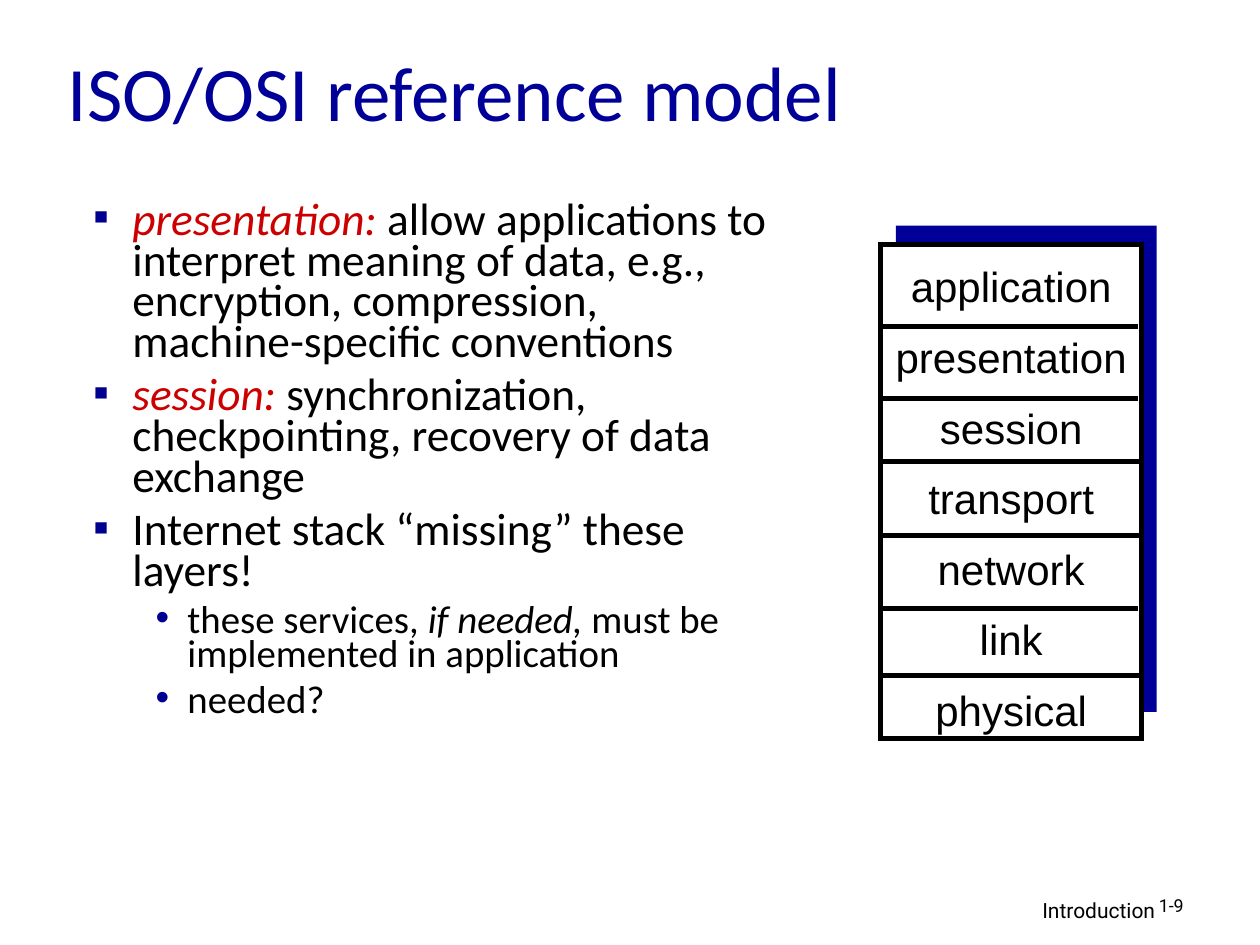
from typing import NamedTuple

from lxml.etree import SubElement
from pptx import Presentation
from pptx.dml.color import RGBColor
from pptx.enum.shapes import MSO_CONNECTOR, MSO_SHAPE
from pptx.enum.text import MSO_ANCHOR, PP_ALIGN
from pptx.oxml.ns import qn
from pptx.util import Cm, Pt

NAVY, BULLET_BLUE, RED, BLACK, WHITE = "000099", "000090", "CC0000", "000000", "FFFFFF"


class Box(NamedTuple):
    """Left, top, width and height in centimetres."""
    left: float
    top: float
    width: float
    height: float


class Span(NamedTuple):
    text: str
    color: str = BLACK
    italic: bool = False


class Level(NamedTuple):
    bullet: str
    margin: float
    hanging: float
    size: float
    space_before: float


class Point(NamedTuple):
    level: Level
    spans: list[Span]


class Divider(NamedTuple):
    left: float
    right: float
    top: float


MAIN = Level("▪", 0.79, 0.79, 25.9, 7)
SUB = Level("•", 1.9, 0.64, 22.2, 6)
POINTS = [
    Point(MAIN, [Span("presentation:", RED, True),
                 Span(" allow applications to interpret meaning of data, e.g., "
                      "encryption, compression, machine-specific conventions")]),
    Point(MAIN, [Span("session:", RED, True),
                 Span(" synchronization, checkpointing, recovery of data exchange")]),
    Point(MAIN, [Span("Internet stack “missing” these layers!")]),
    Point(SUB, [Span("these services, "), Span("if needed,", italic=True),
                Span(" must be implemented in application")]),
    Point(SUB, [Span("needed?")]),
]
LAYERS = ["application", "presentation", "session", "transport", "network", "link", "physical"]
DIVIDERS = [
    Divider(17.7, 22.94, 6.58), Divider(17.7, 22.94, 8.03), Divider(17.73, 22.99, 9.3),
    Divider(17.73, 22.99, 10.8), Divider(17.7, 22.94, 12.27), Divider(17.73, 22.99, 13.61),
]


def rgb(color: str) -> RGBColor:
    return RGBColor.from_string(color)


def lengths(box: Box) -> list[Cm]:
    return [Cm(value) for value in box]


def add_frame(slide, box: Box):
    frame = slide.shapes.add_textbox(*lengths(box)).text_frame
    frame.word_wrap = True
    return frame


def set_font(paragraph, name: str, size: float, color: str = BLACK) -> None:
    paragraph.font.name = name
    paragraph.font.size = Pt(size)
    paragraph.font.color.rgb = rgb(color)


def add_label(slide, box: Box, lines: list[str], font: str, size: float, color: str = BLACK,
              align: PP_ALIGN = PP_ALIGN.LEFT, spacing: float = 1.0, gap: float = 0,
              anchor: MSO_ANCHOR = MSO_ANCHOR.TOP) -> None:
    """Write one paragraph per line, with a gap in points between them."""
    frame = add_frame(slide, box)
    frame.vertical_anchor = anchor
    for index, line in enumerate(lines):
        paragraph = frame.add_paragraph() if index else frame.paragraphs[0]
        paragraph.text = line
        paragraph.alignment = align
        paragraph.line_spacing = spacing
        if index:
            paragraph.space_before = Pt(gap)
        set_font(paragraph, font, size, color)


def add_bullet(paragraph, level: Level) -> None:
    properties = paragraph._p.get_or_add_pPr()
    properties.set("marL", str(Cm(level.margin)))
    properties.set("indent", str(-Cm(level.hanging)))
    bullet_color = SubElement(properties, qn("a:buClr"))
    SubElement(bullet_color, qn("a:srgbClr"), val=BULLET_BLUE)
    SubElement(properties, qn("a:buFont"), typeface="Arial")
    SubElement(properties, qn("a:buChar"), char=level.bullet)


def add_points(slide, box: Box, points: list[Point]) -> None:
    frame = add_frame(slide, box)
    for index, point in enumerate(points):
        paragraph = frame.add_paragraph() if index else frame.paragraphs[0]
        add_bullet(paragraph, point.level)
        paragraph.line_spacing = 0.75
        if index:
            paragraph.space_before = Pt(point.level.space_before)
        set_font(paragraph, "Calibri", point.level.size)
        for span in point.spans:
            run = paragraph.add_run()
            run.text = span.text
            run.font.color.rgb = rgb(span.color)
            run.font.italic = span.italic


def add_rectangle(slide, box: Box, fill: str, line: str | None = None) -> None:
    shape = slide.shapes.add_shape(MSO_SHAPE.RECTANGLE, *lengths(box))
    shape.shadow.inherit = False
    shape.fill.solid()
    shape.fill.fore_color.rgb = rgb(fill)
    if line is None:
        shape.line.fill.background()
    else:
        shape.line.color.rgb = rgb(line)
        shape.line.width = Pt(3)
        outline = shape._element.spPr.find(qn("a:ln"))
        SubElement(outline, qn("a:miter"), lim="800000")


def add_divider(slide, divider: Divider) -> None:
    top = Cm(divider.top)
    connector = slide.shapes.add_connector(
        MSO_CONNECTOR.STRAIGHT, Cm(divider.left), top, Cm(divider.right), top)
    connector.line.color.rgb = rgb(BLACK)
    connector.line.width = Pt(3)
    SubElement(connector._element.spPr, qn("a:effectLst"))


def main() -> None:
    presentation = Presentation()
    presentation.slide_width, presentation.slide_height = Cm(25.4), Cm(19.05)
    slide = presentation.slides.add_slide(presentation.slide_layouts[6])

    add_label(slide, Box(15.49, 17.96, 8.05, 0.79), ["Introduction"], "Roboto", 12,
              align=PP_ALIGN.RIGHT)
    add_rectangle(slide, Box(18.06, 4.55, 5.26, 9.8), NAVY)
    add_label(slide, Box(1.12, 0.23, 18.06, 3.18), ["ISO/OSI reference model"], "Calibri", 44,
              NAVY, anchor=MSO_ANCHOR.MIDDLE)
    add_points(slide, Box(1.63, 3.96, 14.33, 12.9), POINTS)

    add_rectangle(slide, Box(17.75, 4.93, 5.26, 9.96), WHITE, BLACK)
    add_label(slide, Box(17.63, 5.41, 5.51, 9.5), LAYERS, "Arial", 24,
              align=PP_ALIGN.CENTER, spacing=0.7, gap=20.2)
    for divider in DIVIDERS:
        add_divider(slide, divider)
    add_label(slide, Box(23.11, 17.96, 1.88, 0.76), ["1-9"], "Roboto", 10.2, spacing=0.9)

    presentation.save("out.pptx")


if __name__ == "__main__":
    main()
